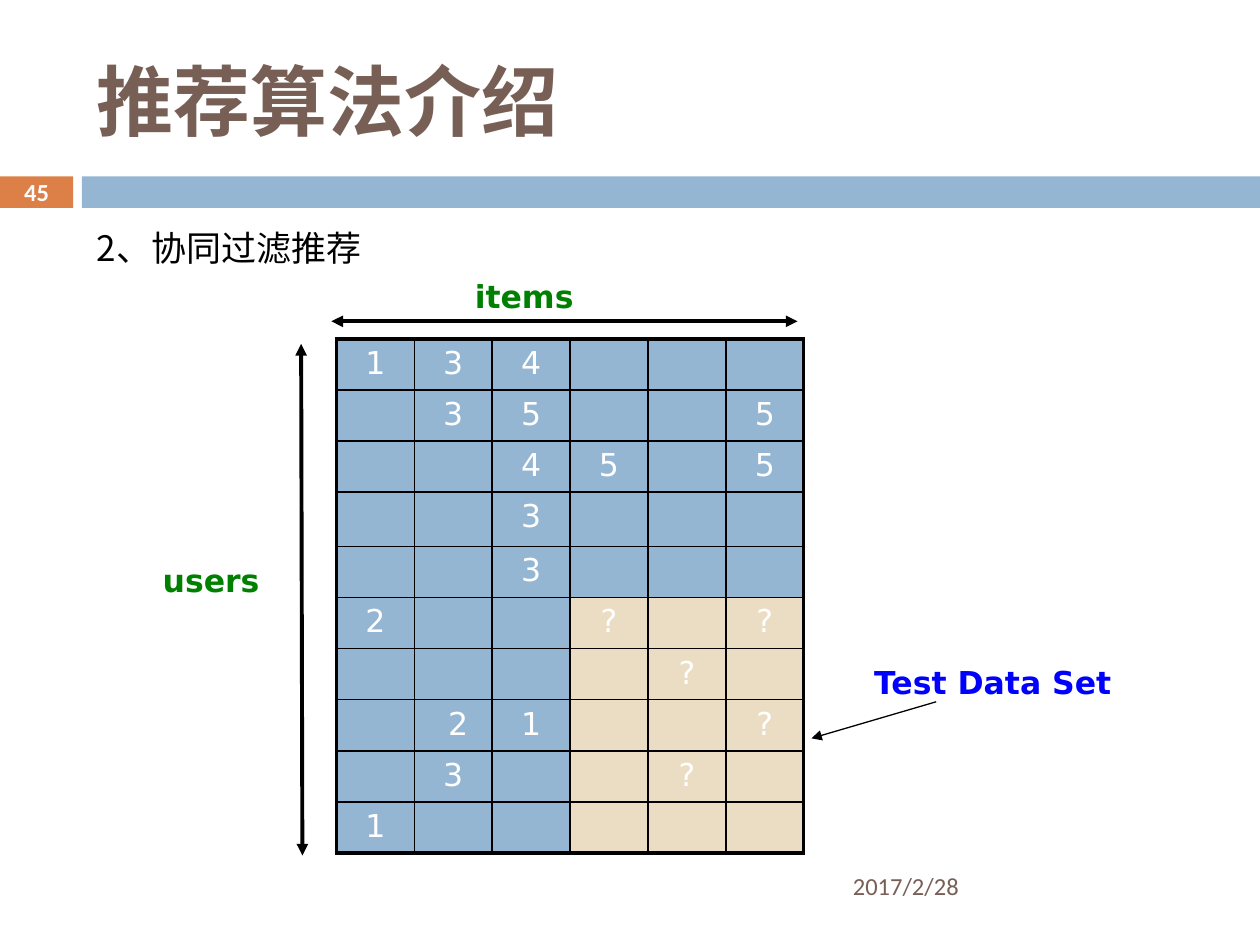
from pptx import Presentation
from pptx.dml.color import RGBColor
from pptx.enum import shapes, text
from pptx.oxml import ns, xmlchemy
from pptx.util import Inches, Pt

BLUE, SAND, BROWN, GREEN = "94B6D2", "EBDDC3", "775F55", "008000"
LATIN, CJK, MONO = "Calibri", "Noto Sans CJK SC", "DejaVu Sans"
LEFT, MID = text.PP_ALIGN.LEFT, text.PP_ALIGN.CENTER
GRID = ["134   ", " 35  5", "  45 5", "  3   ", "  3   ",
        "2  ? ?", "    ? ", " 21  ?", " 3  ? ", "1     "]


def color(code):
    return RGBColor.from_string(code)


def child(node, tag, **attrs):
    item = xmlchemy.OxmlElement(tag)
    for key, value in attrs.items():
        item.set(key, value)
    node.append(item)
    return item


def style(para, size, font, code, bold=False, align=LEFT):
    para.alignment = align
    for run in para.runs:
        run.font.size = Pt(size)
        run.font.name = font
        run.font.bold = bold
        run.font.color.rgb = color(code)
        child(run.font._element, "a:ea", typeface=CJK)


def label(slide, box, words, size, font, code, bold=False, align=LEFT,
          wrap=True, anchor=text.MSO_ANCHOR.TOP):
    frame = slide.shapes.add_textbox(*map(Inches, box)).text_frame
    frame.word_wrap = wrap
    frame.vertical_anchor = anchor
    frame.text = words
    style(frame.paragraphs[0], size, font, code, bold, align)
    return frame


def bar(slide, box, code):
    shape = slide.shapes.add_shape(shapes.MSO_SHAPE.RECTANGLE, *map(Inches, box))
    shape.shadow.inherit = False
    shape.fill.solid()
    shape.fill.fore_color.rgb = color(code)
    shape.line.fill.background()


def arrow(slide, start, end, width, both=True):
    line = slide.shapes.add_connector(
        shapes.MSO_CONNECTOR.STRAIGHT, *map(Inches, start + end))
    line.line.width = Pt(width)
    line.line.color.rgb = color("000000")
    stroke = line.line._get_or_add_ln()
    if both:
        child(stroke, "a:headEnd", type="triangle")
    child(stroke, "a:tailEnd", type="triangle")
    child(line._element.spPr, "a:effectLst")


def edge(cell, side, width):
    stroke = child(cell._tc.get_or_add_tcPr(), "a:ln" + side, w=str(Pt(width)))
    child(child(stroke, "a:solidFill"), "a:srgbClr", val="000000")


def header(slide, box):
    x, y, w, h = box
    bar(slide, (x, y + 1.4, 0.58, 0.25), "DD8047")
    bar(slide, (x + 0.65, y + 1.4, w - 0.65, 0.25), BLUE)
    middle = text.MSO_ANCHOR.MIDDLE
    label(slide, (x, y + 1.39, 0.58, 0.27), "45", 14, LATIN, "FFFFFF",
          True, MID, anchor=middle)
    label(slide, (x + 0.67, y + 0.25, 8.92, 1.08), "推荐算法介绍", 44, "Arial",
          BROWN, True, anchor=middle)


def body(slide, box):
    frame = label(slide, box, "2、协同过滤推荐", 20, CJK, "000000")
    frame.paragraphs[0].space_before = Pt(7)


def matrix(slide, box):
    rows, cols = len(GRID), len(GRID[0])
    frame = slide.shapes.add_table(rows, cols, *map(Inches, box))
    table = frame.table
    table.first_row = table.horz_banding = False
    tall = 0.43
    for r, row in enumerate(table.rows):
        row.height = Inches(tall if r == 3 else (box[3] - tall) / (rows - 1))
    for c, col in enumerate(table.columns):
        col.width = Inches(box[2] / cols)
    for r, row in enumerate(GRID):
        for c, mark in enumerate(row):
            cell = table.cell(r, c)
            outer = {"L": c == 0, "R": c == cols - 1,
                     "T": r == 0, "B": r == rows - 1}
            for side, thick in outer.items():
                edge(cell, side, 2.25 if thick else 1)
            cell.fill.solid()
            cell.fill.fore_color.rgb = color(SAND if r > 4 and c > 2 else BLUE)
            if mark != " ":
                cell.text = " 2" if (r, c) == (7, 1) else mark
                style(cell.text_frame.paragraphs[0], 18, MONO, "FFFFFF", align=MID)


def notes(slide, box):
    x, y, w, h = box
    label(slide, (x + w + 0.46, y + 2.52, 2.1, 0.4), "Test Data Set", 18, MONO,
          "0000FF", True, wrap=False)
    label(slide, (x - 1.97, y + 1.71, 1.95, 0.4), "users", 18, MONO, GREEN, True, MID)
    label(slide, (x + 1, y - 0.54, 0.99, 0.4), "items", 18, MONO, GREEN, True,
          wrap=False)
    arrow(slide, (x - 0.28, y + 0.04), (x - 0.27, y + h + 0.02), 2.25)
    arrow(slide, (x - 0.04, y - 0.14), (x + w - 0.05, y - 0.14), 2.25)
    arrow(slide, (x + w + 1.05, y + 2.88), (x + w + 0.06, y + 3.17), 0.75, False)


def main():
    deck = Presentation()
    deck.slide_width, deck.slide_height = Inches(10), Inches(7.5)
    slide = deck.slides.add_slide(deck.slide_layouts[6])
    header(slide, (0, 0, 10, 1.66))
    body(slide, (0.67, 1.75, 8.92, 4.95))
    grid = (2.67, 2.69, 3.71, 4.08)
    matrix(slide, grid)
    notes(slide, grid)
    label(slide, (6.67, 6.83, 2.92, 0.4), "2017/2/28", 14, LATIN, BROWN,
          anchor=text.MSO_ANCHOR.MIDDLE)
    deck.save("out.pptx")


if __name__ == "__main__":
    main()
